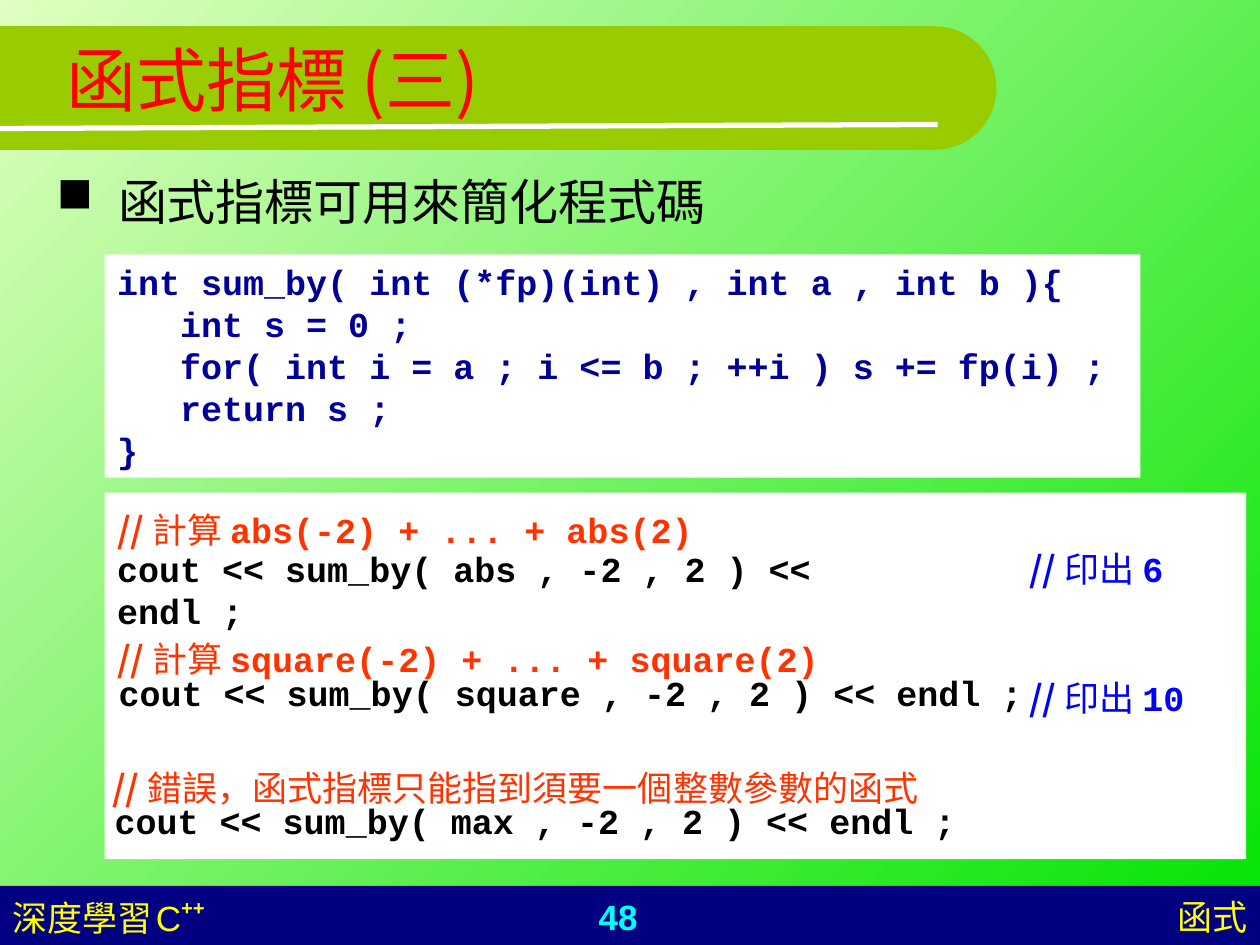
from math import cos, pi, sin

from lxml.etree import SubElement
from pptx import Presentation
from pptx.dml.color import RGBColor
from pptx.enum.shapes import MSO_CONNECTOR, MSO_SHAPE
from pptx.enum.text import MSO_ANCHOR, PP_ALIGN
from pptx.oxml.ns import qn
from pptx.util import Cm, Pt

COLORS = {
    "light": "E0FFC1", "green": "00E400", "olive": "99CC00", "navy": "000080",
    "white": "FFFFFF", "black": "000000", "red": "FF0000", "orange": "FF3300",
    "blue": "0000FF", "code": "000099", "cyan": "00FFFF", "yellow": "FFFF00",
}
CJK, SANS, MONO = "Noto Sans CJK SC", "Arial", "Courier New"


def color(name):
    return RGBColor.from_string(COLORS[name])


def style(font_name, size, color_name, bold=False):
    return {"name": font_name, "size": Pt(size), "bold": bold, "color": color_name}


def add_run(paragraph, text, values):
    run = paragraph.add_run()
    run.text = text
    for key, value in values.items():
        if key == "color":
            run.font.color.rgb = color(value)
        else:
            setattr(run.font, key, value)
    properties = run._r.get_or_add_rPr()
    SubElement(properties, qn("a:ea")).set("typeface", CJK)
    return run


def add_text(slide, box, runs, align=PP_ALIGN.LEFT, anchor=MSO_ANCHOR.TOP, wrap=True):
    """Place one paragraph; line ends inside a run become line breaks."""
    shape = slide.shapes.add_textbox(*map(Cm, box))
    frame = shape.text_frame
    frame.word_wrap = wrap
    frame.vertical_anchor = anchor
    paragraph = frame.paragraphs[0]
    paragraph.alignment = align
    for text, values in runs:
        for index, line in enumerate(text.split("\n")):
            if index:
                paragraph.add_line_break()
            add_run(paragraph, line, values)
    return paragraph


def paint(shape, color_name):
    shape.shadow.inherit = False
    shape.fill.solid()
    shape.fill.fore_color.rgb = color(color_name)
    shape.line.fill.background()


def add_panel(slide, box, color_name):
    paint(slide.shapes.add_shape(MSO_SHAPE.RECTANGLE, *map(Cm, box)), color_name)


def add_background(slide):
    fill = slide.background.fill
    fill.gradient()
    fill.gradient_angle = 315
    for stop, position, name in zip(fill.gradient_stops, (0, 1), ("light", "green")):
        stop.position = position
        stop.color.rgb = color(name)


def add_header(slide, box):
    left, top, width, height = box
    # Band with a half-round right end
    radius = height / 2
    center_x, center_y = left + width - radius, top + radius
    steps = 40
    angles = [pi * step / steps - pi / 2 for step in range(steps + 1)]
    arc = [(Cm(center_x + radius * cos(a)), Cm(center_y + radius * sin(a))) for a in angles]
    builder = slide.shapes.build_freeform(Cm(left), Cm(top), scale=1.0)
    builder.add_line_segments(arc + [(Cm(left), Cm(top + height))], close=True)
    paint(builder.convert_to_shape(), "olive")

    # White underline
    line = slide.shapes.add_connector(
        MSO_CONNECTOR.STRAIGHT, Cm(left), Cm(top + 2.06), Cm(left + 18.9), Cm(top + 1.98))
    line.line.color.rgb = color("white")
    line.line.width = Pt(3)
    SubElement(line._element.spPr, qn("a:effectLst"))

    # Title
    add_text(slide, (left + 1.09, top - 0.53, 22.86, 3.18),
             [("函式指標 ", style(SANS, 40, "red")), ("(三)", style(CJK, 40, "red"))],
             anchor=MSO_ANCHOR.MIDDLE)


def add_bullet(slide, box, text):
    paragraph = add_text(slide, box, [(text, style(MONO, 28, "black"))])
    properties = paragraph._p.get_or_add_pPr()
    properties.set("marL", str(Cm(1.24)))
    properties.set("indent", str(-Cm(1.24)))
    bullet_color = SubElement(properties, qn("a:buClr"))
    SubElement(bullet_color, qn("a:srgbClr")).set("val", COLORS["black"])
    SubElement(properties, qn("a:buChar")).set("char", "■")


def add_definition(slide, box):
    add_panel(slide, box, "white")
    code = """int sum_by( int (*fp)(int) , int a , int b ){
   int s = 0 ;
   for( int i = a ; i <= b ; ++i ) s += fp(i) ;
   return s ;
}"""
    add_text(slide, box, [(code, style(MONO, 20, "code", True))])


def add_usage(slide, box):
    left, top = box[:2]
    add_panel(slide, box, "white")

    def comment(label, code, name):
        runs = [("// ", style(CJK, 20, name, True)), (label, style(MONO, 20, name))]
        return runs + ([(code, style(MONO, 20, name, True))] if code else [])

    def call(function):
        text = f"cout << sum_by( {function} , -2 , 2 ) << endl ;"
        return [(text, style(MONO, 20, "black", True))]

    # Offset from the panel, width, runs, wrapping
    lines = [
        (0, 0.2, 15.39, comment("計算 ", "abs(-2) + ... + abs(2)", "orange"), True),
        (0, 2.8, 15.39, comment("計算 ", "square(-2) + ... + square(2)", "orange"), True),
        (0, 0.99, 17.2, call("abs"), True),
        (0.03, 3.48, 19.2, call("square"), True),
        (18.39, 0.99, 4.19, comment("印出 ", "6", "blue"), True),
        (18.39, 3.58, 4.39, comment("印出 ", "10", "blue"), True),
        (-0.1, 5.39, 17.22,
         comment("錯誤，函式指標只能指到須要一個整數參數的函式", "", "orange"), False),
        (-0.05, 6.07, 19, call("max"), True),
    ]
    for x, y, width, runs, wrap in lines:
        add_text(slide, (left + x, top + y, width, 1.12), runs, wrap=wrap)


def add_footer(slide, box):
    left, top, width, height = box
    add_panel(slide, box, "navy")
    text_top, text_height = top + 0.07, 1.12
    yellow = style(SANS, 20, "yellow")

    # Page number, chapter, book title
    add_text(slide, (left + 9.5, text_top, 5.92, text_height),
             [("48", style(SANS, 20, "cyan", True))], PP_ALIGN.CENTER)
    add_text(slide, (left + width - 8.71, text_top, 8.71, text_height),
             [("函式", yellow)], PP_ALIGN.RIGHT)
    book = add_text(slide, (left, text_top, 5.92, text_height),
                    [("深度學習", yellow), (" ", style(SANS, 8, "yellow")), ("C", yellow),
                     ("++", style(SANS, 20, "yellow", True))])
    book.runs[-1]._r.get_or_add_rPr().set("baseline", "46000")


def main():
    presentation = Presentation()
    presentation.slide_width, presentation.slide_height = Cm(25.4), Cm(19.05)
    slide = presentation.slides.add_slide(presentation.slide_layouts[6])
    add_background(slide)
    add_footer(slide, (0, 17.86, 25.4, 1.19))
    add_header(slide, (0, 0.53, 20.09, 2.49))
    add_bullet(slide, (0.89, 3.33, 14.81, 1.47), "函式指標可用來簡化程式碼")
    add_definition(slide, (2.11, 5.13, 20.88, 4.5))
    add_usage(slide, (2.11, 9.93, 23.01, 7.39))
    presentation.save("out.pptx")


if __name__ == "__main__":
    main()
